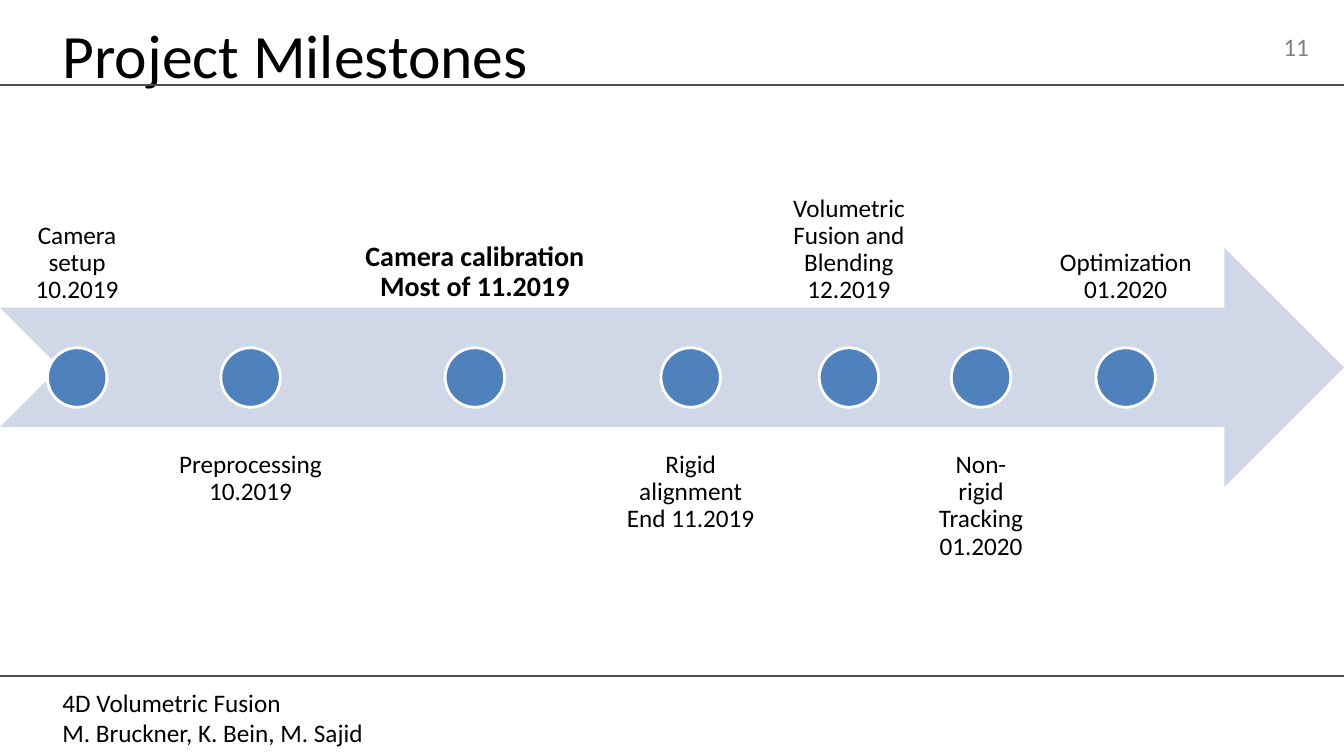
from lxml.etree import SubElement
from pptx import Presentation
from pptx.dml.color import RGBColor
from pptx.enum.shapes import MSO_CONNECTOR, MSO_SHAPE
from pptx.enum.text import MSO_ANCHOR, MSO_AUTO_SIZE, PP_ALIGN
from pptx.oxml.ns import qn
from pptx.util import Inches, Pt

BLACK = RGBColor(0x00, 0x00, 0x00)
WHITE = RGBColor(0xFF, 0xFF, 0xFF)
RULE_GRAY = RGBColor(0x4D, 0x4D, 0x4D)
NUMBER_GRAY = RGBColor(0x80, 0x80, 0x80)
ARROW_BLUE = RGBColor(0xD0, 0xD8, 0xE8)
DOT_BLUE = RGBColor(0x4F, 0x81, 0xBD)

SLIDE_WIDTH = 13.33
BAND_HEIGHT = 2.37
DOT_SIZE = 0.59
LABEL_GAP = 0.03

# Label, date, column width, bold
MILESTONES = [
    ("Camera setup", "10.2019", 1.53, False),
    ("Preprocessing", "10.2019", 1.85, False),
    ("Camera calibration", "Most of 11.2019", 2.54, True),
    ("Rigid alignment", "End 11.2019", 1.68, False),
    ("Volumetric Fusion and Blending", "12.2019", 1.40, False),
    ("Non-rigid Tracking", "01.2020", 1.16, False),
    ("Optimization", "01.2020", 1.65, False),
]


def write_lines(frame, lines, size, color=BLACK, align=PP_ALIGN.LEFT, bold=False, spacing=None):
    frame.word_wrap = True
    frame.auto_size = MSO_AUTO_SIZE.NONE
    for index, line in enumerate(lines):
        paragraph = frame.paragraphs[0] if index == 0 else frame.add_paragraph()
        paragraph.alignment = align
        paragraph.line_spacing = spacing
        run = paragraph.add_run()
        run.text = line
        run.font.name = "Calibri"
        run.font.size = Pt(size)
        run.font.bold = bold
        run.font.color.rgb = color


def add_box(left, top, width, height):
    return shapes.add_textbox(Inches(left), Inches(top), Inches(width), Inches(height)).text_frame


presentation = Presentation()
presentation.slide_width = Inches(SLIDE_WIDTH)
presentation.slide_height = Inches(7.5)
slide = presentation.slides.add_slide(presentation.slide_layouts[5])
shapes = slide.shapes

# Header and footer rules
for rule_y in (0.84, 6.71):
    rule = shapes.add_connector(
        MSO_CONNECTOR.STRAIGHT, 0, Inches(rule_y), Inches(SLIDE_WIDTH), Inches(rule_y))
    rule.line.color.rgb = RULE_GRAY
    rule.line.width = Pt(1.5)
    SubElement(rule._element.spPr, qn("a:effectLst"))

# Footer and page number
write_lines(add_box(0.52, 6.77, 9.42, 0.71),
            ["4D Volumetric Fusion", "M. Bruckner, K. Bein, M. Sajid"], 18)
write_lines(add_box(12.4, 0.26, 0.68, 0.4), ["11"], 18, NUMBER_GRAY, PP_ALIGN.RIGHT)

# Title
title = shapes.title
title.left, title.top = Inches(0.52), Inches(0)
title.width, title.height = Inches(9.54), Inches(0.95)
title.text_frame.vertical_anchor = MSO_ANCHOR.BOTTOM
write_lines(title.text_frame, ["Project Milestones"], 44)

# Timeline arrow
arrow = shapes.add_shape(MSO_SHAPE.NOTCHED_RIGHT_ARROW, 0, Inches(2.46),
                         Inches(SLIDE_WIDTH), Inches(BAND_HEIGHT))
arrow.shadow.inherit = False
arrow.fill.solid()
arrow.fill.fore_color.rgb = ARROW_BLUE
arrow.line.fill.background()

# Milestones: labels alternate above and below the arrow, each centred on its dot
left = 0
for index, (label, date, width, bold) in enumerate(MILESTONES):
    above = index % 2 == 0
    caption = add_box(left, 0.79 if above else 4.34, width, BAND_HEIGHT)
    caption.vertical_anchor = MSO_ANCHOR.BOTTOM if above else MSO_ANCHOR.TOP
    inset = Inches(0.16 if bold else 0.14)
    caption.margin_left = caption.margin_right = inset
    caption.margin_top = caption.margin_bottom = inset
    write_lines(caption, [label, date], 20 if bold else 18,
                align=PP_ALIGN.CENTER, bold=bold, spacing=0.9)

    dot = shapes.add_shape(MSO_SHAPE.OVAL, Inches(left + (width - DOT_SIZE) / 2),
                           Inches(3.45), Inches(DOT_SIZE), Inches(DOT_SIZE))
    dot.shadow.inherit = False
    dot.fill.solid()
    dot.fill.fore_color.rgb = DOT_BLUE
    dot.line.color.rgb = WHITE
    dot.line.width = Pt(2)
    left += width + LABEL_GAP

presentation.save("out.pptx")
